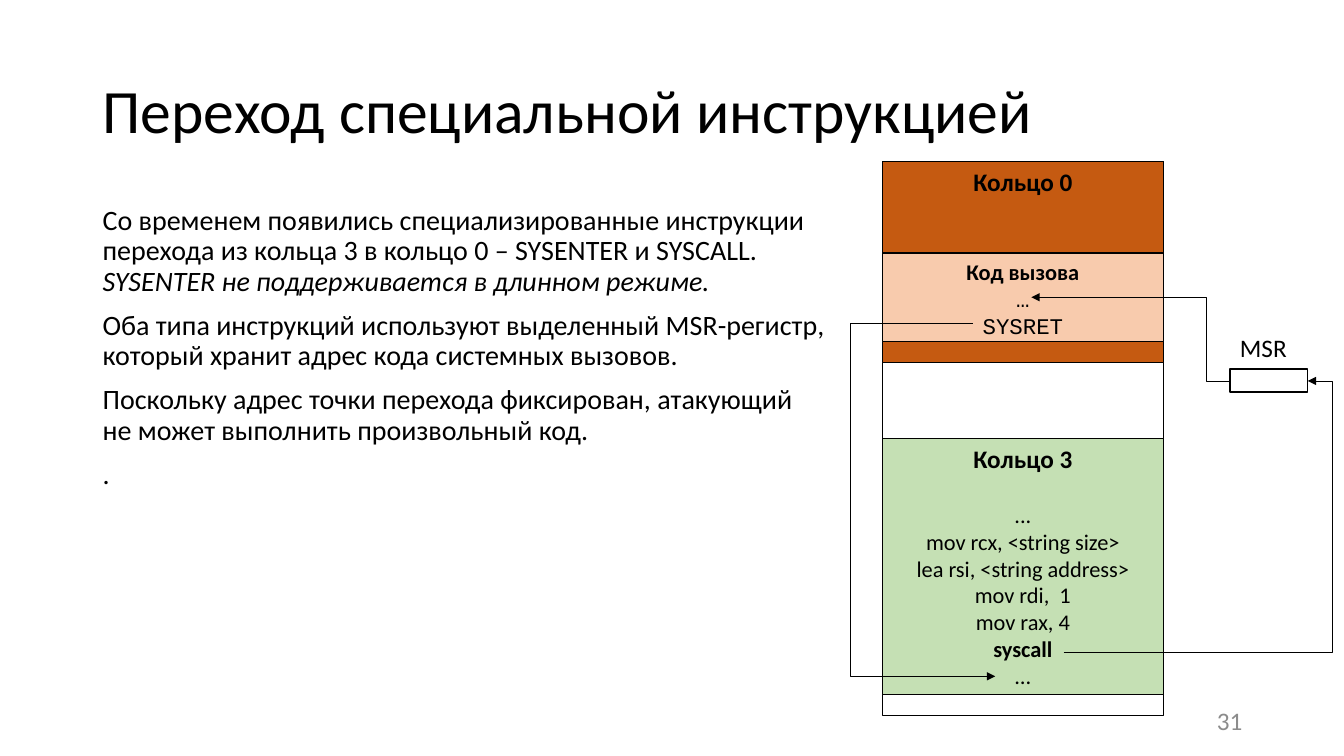
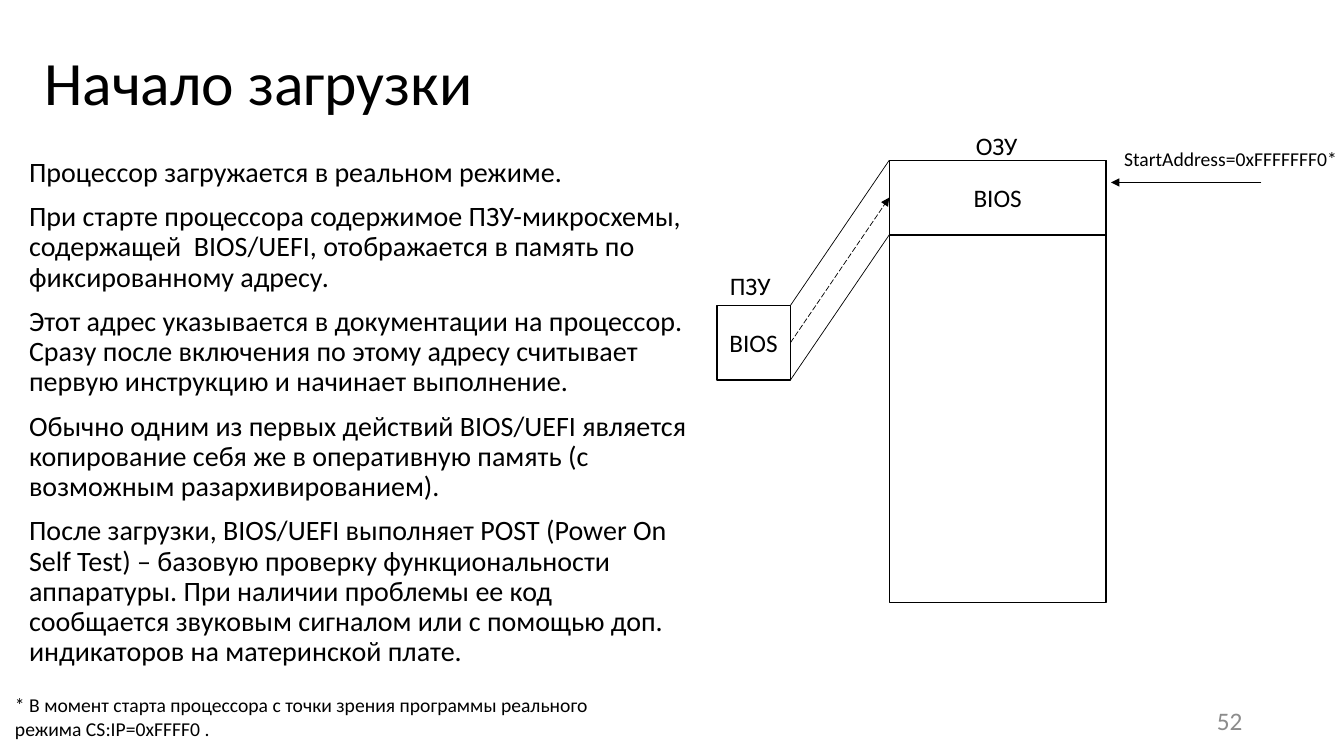
import lxml.etree
import pptx
import pptx.dml.color
import pptx.enum.dml
import pptx.enum.shapes
import pptx.enum.text
import pptx.oxml
import pptx.oxml.ns
import pptx.util

Inches = pptx.util.Inches
Pt = pptx.util.Pt
ALIGN = pptx.enum.text.PP_ALIGN
ANCHOR = pptx.enum.text.MSO_ANCHOR
AUTO_SIZE = pptx.enum.text.MSO_AUTO_SIZE
CONNECTOR = pptx.enum.shapes.MSO_CONNECTOR
DASH = pptx.enum.dml.MSO_LINE
RGBColor = pptx.dml.color.RGBColor

BLACK = RGBColor(0x00, 0x00, 0x00)
WHITE = RGBColor(0xFF, 0xFF, 0xFF)
GREY = RGBColor(0x8C, 0x8C, 0x8C)
KERNEL_ORANGE = RGBColor(0xC5, 0x5A, 0x11)
CALL_PEACH = RGBColor(0xF8, 0xCB, 0xAD)
USER_GREEN = RGBColor(0xC5, 0xE0, 0xB4)

BOLD = {"bold": True}
ITALIC = {"italic": True}
CODE = {"name": "Courier New"}
BODY = {"line_spacing": 0.9, "space_before": Pt(10)}
CENTERED = {"alignment": ALIGN.CENTER}
FIXED = {"word_wrap": True}
GROWING = {"word_wrap": True, "auto_size": AUTO_SIZE.SHAPE_TO_FIT_TEXT}
LABEL = {"word_wrap": False, "auto_size": AUTO_SIZE.SHAPE_TO_FIT_TEXT}
MIDDLE = {"word_wrap": True, "vertical_anchor": ANCHOR.MIDDLE}
TOP = {"word_wrap": True, "vertical_anchor": ANCHOR.TOP}


def apply(target, values):
    for name, value in values.items():
        setattr(target, name, value)


def add_element(parent, tag, **attributes):
    element = lxml.etree.SubElement(parent, pptx.oxml.ns.qn(tag))
    for name, value in attributes.items():
        element.set(name, value)
    return element


class Deck:
    def __init__(self):
        self.presentation = pptx.Presentation()
        apply(self.presentation, {"slide_width": Inches(13.33), "slide_height": Inches(7.5)})
        self.slide = None

    def new_slide(self, title, left, top, number):
        self.slide = self.presentation.slides.add_slide(self.presentation.slide_layouts[6])
        self.text((left, top, 11.5, 1.45), [title], 44, MIDDLE, {"line_spacing": 0.9})
        self.text((9.42, 6.95, 3, 0.4), [number], 18, MIDDLE, {"alignment": ALIGN.RIGHT}, GREY)

    def add_paragraphs(self, frame, paragraphs, size, paragraph_format, color=BLACK):
        for index, runs in enumerate(paragraphs):
            paragraph = frame.paragraphs[0] if index == 0 else frame.add_paragraph()
            apply(paragraph, paragraph_format)
            if index == 0:
                paragraph.space_before = Pt(0)
            for text, font_format in [(runs, {})] if isinstance(runs, str) else runs:
                run = paragraph.add_run()
                run.text = text
                apply(run.font, {"name": "Calibri", "size": Pt(size), **font_format})
                run.font.color.rgb = color

    def text(self, box, paragraphs, size, frame_format=FIXED, paragraph_format={}, color=BLACK):
        shape = self.slide.shapes.add_textbox(*map(Inches, box))
        apply(shape.text_frame, frame_format)
        self.add_paragraphs(shape.text_frame, paragraphs, size, paragraph_format, color)

    def box(self, box, fill=WHITE, paragraphs=(), size=18, frame_format=TOP):
        shape = self.slide.shapes.add_shape(
            pptx.enum.shapes.MSO_SHAPE.RECTANGLE, *map(Inches, box))
        shape.shadow.inherit = False
        shape.fill.solid()
        shape.fill.fore_color.rgb = fill
        shape.line.color.rgb = BLACK
        shape.line.width = Pt(1)
        apply(shape.text_frame, frame_format)
        self.add_paragraphs(shape.text_frame, paragraphs, size, CENTERED)
        return shape

    def line(self, start, end, arrow=False, dash=None, kind=CONNECTOR.STRAIGHT):
        connector = self.slide.shapes.add_connector(kind, *map(Inches, (*start, *end)))
        connector.line.color.rgb = BLACK
        apply(connector.line, {"width": Pt(0.5), "dash_style": dash})
        properties = connector._element.spPr
        if arrow:
            add_element(properties.find(pptx.oxml.ns.qn("a:ln")), "a:tailEnd", type="triangle")
        add_element(properties, "a:effectLst")
        return connector

    def elbow(self, start, end, bend):
        connector = self.line(start, end, arrow=True, kind=CONNECTOR.ELBOW)
        geometry = connector._element.spPr.find(pptx.oxml.ns.qn("a:prstGeom"))
        guides = geometry.find(pptx.oxml.ns.qn("a:avLst"))
        if guides is None:
            guides = add_element(geometry, "a:avLst")
        ratio = round(100000 * (bend - start[0]) / (end[0] - start[0]))
        add_element(guides, "a:gd", name="adj1", fmla=f"val {ratio}")


def special_instruction(deck):
    deck.new_slide("Переход специальной инструкцией", 0.92, 0.4, "31")
    deck.text((0.92, 2, 7.37, 4.76), [
        [("Со временем появились специализированные инструкции перехода из кольца 3 "
          "в кольцо 0 – SYSENTER и SYSCALL. ", {}),
         ("SYSENTER не поддерживается в длинном режиме.", ITALIC)],
        "Оба типа инструкций используют выделенный MSR-регистр, "
        "который хранит адрес кода системных вызовов.",
        "Поскольку адрес точки перехода фиксирован, атакующий "
        "не может выполнить произвольный код.",
        ".",
    ], 20, FIXED, BODY)

    left, width = 8.75, 2.79
    deck.box((left, 1.6, width, 5.5))
    deck.box((left, 1.6, width, 2), KERNEL_ORANGE, [[("Кольцо 0", BOLD)]])
    deck.box((left, 2.51, width, 0.88), CALL_PEACH,
             [[("Код вызова", BOLD)], [("…", CODE)], [("SYSRET", CODE)]], 16)
    user_ring = deck.box((left, 4.35, width, 2.54), USER_GREEN, [
        [("Кольцо 3", {"bold": True, "size": Pt(18)})],
        "...",
        "mov rcx, <string size>",
        "lea rsi, <string address>",
        "mov rdi,  1",
        "mov rax, 4",
        [("syscall", BOLD)],
        "…",
    ], 16)
    user_ring.text_frame.paragraphs[1].space_before = Pt(19.5)

    deck.box((12.2, 3.66, 0.77, 0.23))
    deck.text((12.2, 3.25, 0.67, 0.4), ["MSR"], 18, LABEL)
    deck.elbow((10.55, 6.47), (12.97, 3.78), 13.22)
    deck.elbow((12.2, 3.78), (10.23, 2.95), 11.97)
    deck.elbow((9.65, 3.21), (9.87, 6.71), 8.43)


def boot_start(deck):
    deck.new_slide("Начало загрузки", 0.34, 0.12, "52")
    deck.text((0.19, 1.52, 6.84, 5.23), [
        "Процессор загружается в реальном режиме.",
        "При старте процессора содержимое ПЗУ-микросхемы, содержащей  BIOS/UEFI, "
        "отображается в память по фиксированному адресу.",
        "Этот адрес указывается в документации на процессор. Сразу после включения "
        "по этому адресу считывает первую инструкцию и начинает выполнение.",
        "Обычно одним из первых действий BIOS/UEFI является копирование себя же "
        "в оперативную память (с возможным разархивированием).",
        "После загрузки, BIOS/UEFI выполняет POST (Power On Self Test) – базовую "
        "проверку функциональности аппаратуры. При наличии проблемы ее код сообщается "
        "звуковым сигналом или с помощью доп. индикаторов на материнской плате.",
    ], 20, FIXED, BODY)
    deck.text((0.05, 6.83, 6.45, 0.57), [
        "* В момент старта процессора с точки зрения программы реального режима "
        "CS:IP=0xFFFF0 ."], 14, GROWING)

    rom_right, rom_top, ram_left, ram_top, bios_height = 7.84, 3.03, 8.82, 1.59, 0.74
    rom = deck.box((7.11, rom_top, 0.73, bios_height), WHITE, ["BIOS"], 18, MIDDLE)
    deck.box((ram_left, ram_top, 2.15, 4.39))
    ram_bios = deck.box((ram_left, ram_top, 2.15, bios_height), WHITE, ["BIOS"], 18, MIDDLE)
    for offset in (0, bios_height):
        deck.line((rom_right, rom_top + offset), (ram_left, ram_top + offset))
    mapping = deck.line((rom_right, 3.4), (ram_left, 1.96), True, DASH.LONG_DASH)
    mapping.begin_connect(rom, 3)
    mapping.end_connect(ram_bios, 1)
    deck.line((12.51, 1.81), (11.02, 1.81), True)

    for box, label, size in (
        ((7.14, 2.63, 0.61, 0.4), "ПЗУ", 18),
        ((9.58, 1.24, 0.62, 0.4), "ОЗУ", 18),
        ((11.05, 1.41, 2.33, 0.34), "StartAddress=0xFFFFFFF0*", 14),
    ):
        deck.text(box, [label], size, LABEL)


def main():
    deck = Deck()
    special_instruction(deck)
    boot_start(deck)
    deck.presentation.save("out.pptx")


if __name__ == "__main__":
    main()
